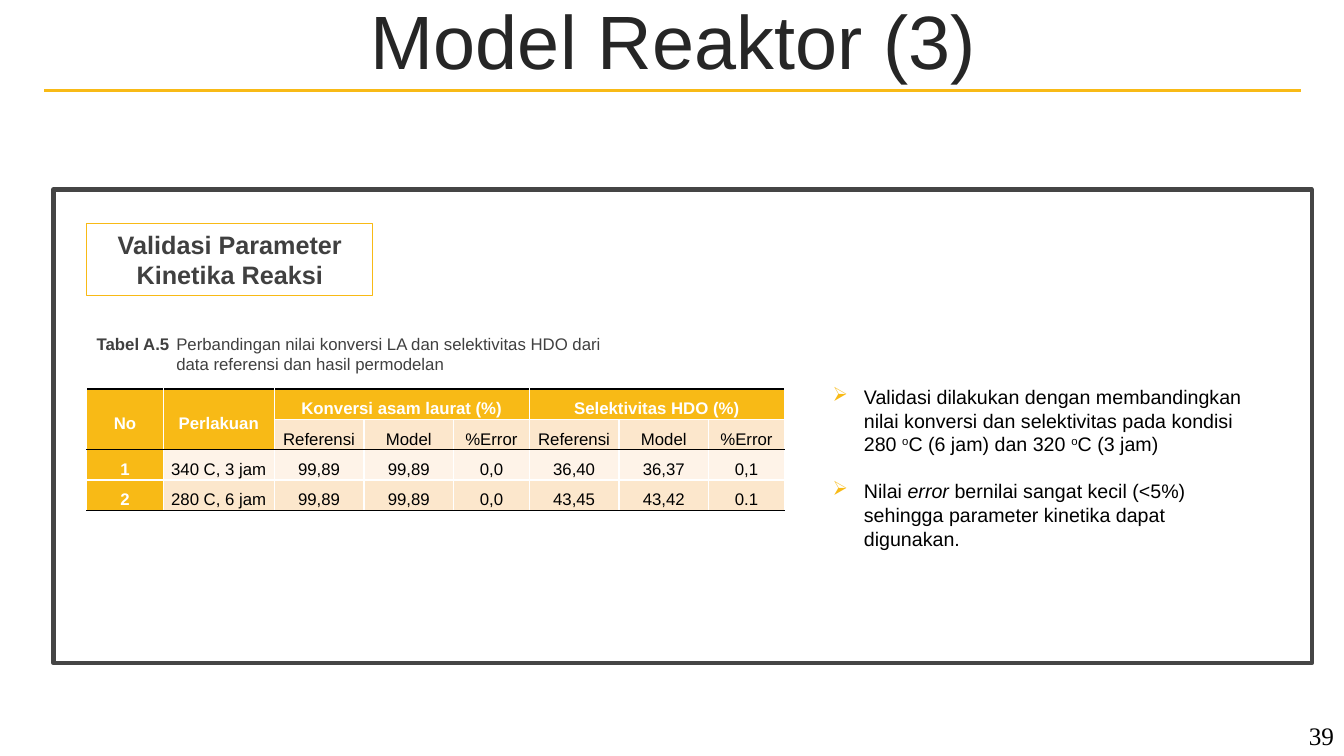
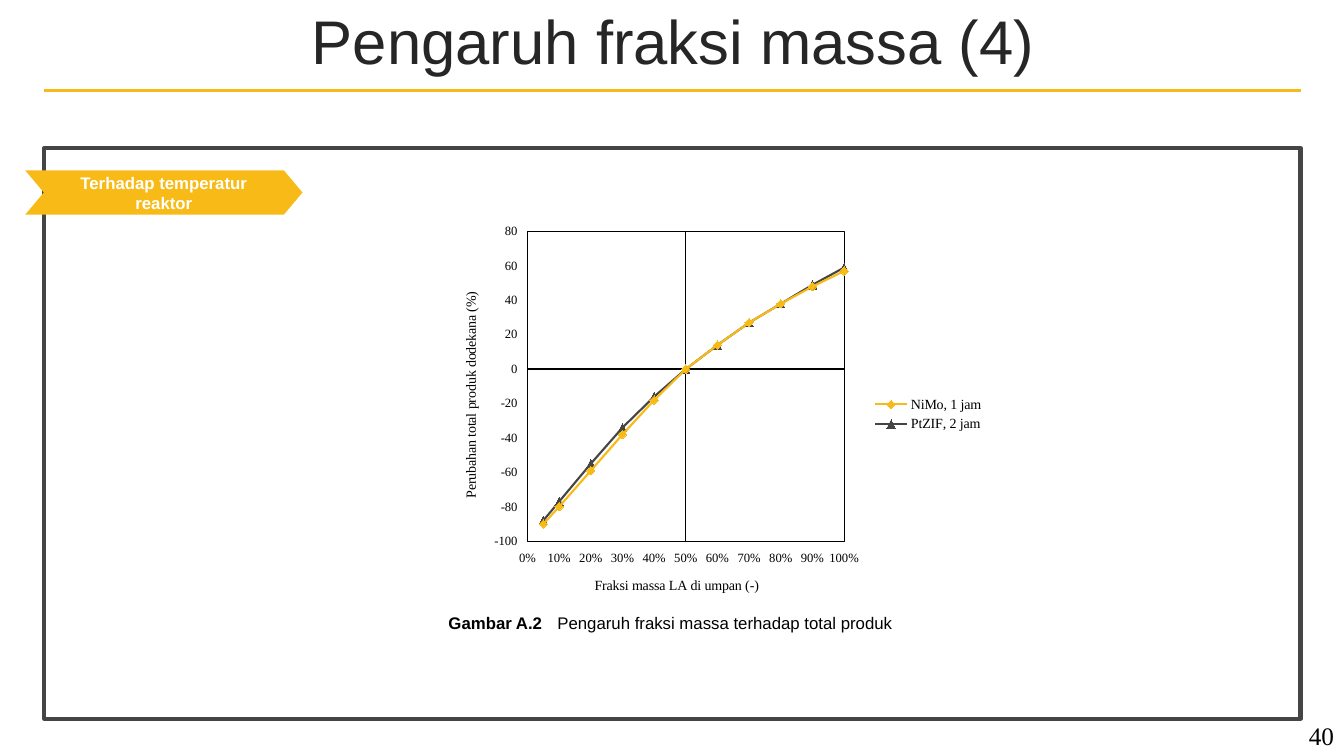
"""Builds two slides on reactor model validation and feed mass fraction."""
from dataclasses import dataclass

from lxml import etree
from pptx import Presentation
from pptx import util as u
from pptx.chart.data import XyChartData
from pptx.dml.color import RGBColor
from pptx.enum import chart as charts, shapes, text
from pptx.oxml import parse_xml
from pptx.oxml.ns import nsdecls, qn


@dataclass(frozen=True)
class Theme:
    """Colours, fonts and type sizes of the deck."""
    gold: str = "F8BA16"
    dark: str = "454545"
    title: str = "262626"
    label: str = "404040"
    black: str = "000000"
    white: str = "FFFFFF"
    band_light: str = "FEF3E8"
    band_dark: str = "FCE7CC"
    sans: str = "Arial"
    serif: str = "Times New Roman"
    heading: int = 18
    body: int = 14
    small: int = 12
    chart: int = 10
    ticks: int = 9


@dataclass(frozen=True)
class Box:
    """A rectangle in inches."""
    left: float
    top: float
    width: float
    height: float

    def lengths(self) -> list[u.Length]:
        """Gives the four values as lengths."""
        return [u.Inches(value) for value in (self.left, self.top, self.width, self.height)]


@dataclass(frozen=True)
class Span:
    """A stretch of text with one format."""
    content: str
    bold: bool = False
    italic: bool = False
    raised: bool = False


@dataclass(frozen=True)
class Series:
    """One curve of the chart."""
    name: str
    values: tuple[int, ...]
    color: str
    marker: charts.XL_MARKER_STYLE


THEME = Theme()
CENTER = text.PP_ALIGN.CENTER
HEADERS = (
    ("No", "Perlakuan", "Konversi asam laurat (%)", "", "", "Selektivitas HDO (%)", "", ""),
    ("", "") + ("Referensi", "Model", "%Error") * 2,
)
RESULTS = (
    ("1", "340 C, 3 jam", "99,89", "99,89", "0,0", "36,40", "36,37", "0,1"),
    ("2", "280 C, 6 jam", "99,89", "99,89", "0,0", "43,45", "43,42", "0.1"),
)
COLUMN_WIDTHS = (0.76, 1.1) + (0.89, 0.89, 0.75) * 2
MERGES = ((0, 0, 1, 0), (0, 1, 1, 1), (0, 2, 0, 4), (0, 5, 0, 7))
FINDINGS = (
    (Span("Validasi dilakukan dengan membandingkan nilai konversi dan selektivitas pada kondisi 280 "),
     Span("o", raised=True), Span("C (6 jam) dan 320 "), Span("o", raised=True), Span("C (3 jam)")),
    (Span("Nilai "), Span("error ", italic=True),
     Span("bernilai sangat kecil (<5%) sehingga parameter kinetika dapat digunakan.")),
)
FRACTIONS = (0.05, 0.1, 0.2, 0.3, 0.4, 0.5, 0.6, 0.7, 0.8, 0.9, 1)
CURVES = (
    Series("NiMo, 1 jam", (-90, -80, -59, -38, -18, 0, 14, 27, 38, 48, 57),
           THEME.gold, charts.XL_MARKER_STYLE.DIAMOND),
    Series("PtZIF, 2 jam", (-88, -77, -55, -34, -16, 0, 14, 27, 38, 49, 59),
           THEME.dark, charts.XL_MARKER_STYLE.TRIANGLE),
)


def rgb(color: str) -> RGBColor:
    """Turns a hex string into a colour."""
    return RGBColor.from_string(color)


def style_font(font, size: int, color: str, name: str = THEME.sans, bold: bool = False) -> None:
    """Formats one font."""
    font.size, font.name, font.bold = u.Pt(size), name, bold
    font.color.rgb = rgb(color)


def add_spans(paragraph, spans, size: int, color: str, name: str = THEME.sans) -> None:
    """Writes spans as runs."""
    for span in spans:
        run = paragraph.add_run()
        run.text = span.content
        style_font(run.font, size, color, name, span.bold)
        run.font.italic = span.italic
        if span.raised:
            run._r.get_or_add_rPr().set("baseline", "30000")


def set_hanging(paragraph, indent: float) -> None:
    """Gives a paragraph a hanging indent in inches."""
    properties = paragraph._p.get_or_add_pPr()
    properties.set("marL", str(u.Inches(indent)))
    properties.set("indent", str(-u.Inches(indent)))


def add_text_frame(slide, box: Box):
    """Adds a wrapping text box and returns its frame."""
    frame = slide.shapes.add_textbox(*box.lengths()).text_frame
    frame.word_wrap = True
    return frame


def add_caption(slide, box: Box, indent: float, number: str, wording: str, color: str) -> None:
    """Adds a numbered caption whose wording hangs at a tab."""
    frame = add_text_frame(slide, box)
    set_hanging(frame.paragraphs[0], indent)
    add_spans(frame.paragraphs[0], (Span(number + "\t", bold=True), Span(wording)), THEME.small, color)


def add_panel(slide, box: Box, kind=shapes.MSO_SHAPE.RECTANGLE,
              fill: str = "", line: str = "", width: float = 0.75):
    """Adds a flat shape with an optional fill and outline."""
    shape = slide.shapes.add_shape(kind, *box.lengths())
    shape.shadow.inherit = False
    if fill:
        shape.fill.solid()
        shape.fill.fore_color.rgb = rgb(fill)
    else:
        shape.fill.background()
    if line:
        shape.line.color.rgb = rgb(line)
        shape.line.width = u.Pt(width)
    else:
        shape.line.fill.background()
    return shape


def label_panel(shape, wording: str, size: int, color: str) -> None:
    """Centres bold text in a shape."""
    frame = shape.text_frame
    frame.word_wrap = True
    frame.vertical_anchor = text.MSO_ANCHOR.MIDDLE
    frame.paragraphs[0].alignment = CENTER
    add_spans(frame.paragraphs[0], (Span(wording, bold=True),), size, color)


def add_slide(presentation, title: str, title_size: int, number: int, frame_box: Box):
    """Adds a slide with title, rule, page number and frame."""
    slide = presentation.slides.add_slide(presentation.slide_layouts[5])
    heading = slide.shapes.title
    heading.left, heading.top, heading.width, heading.height = Box(0.35, 0.05, 12.66, 0.79).lengths()
    heading.text_frame.auto_size = text.MSO_AUTO_SIZE.NONE
    heading.text_frame.vertical_anchor = text.MSO_ANCHOR.MIDDLE
    paragraph = heading.text_frame.paragraphs[0]
    paragraph.alignment, paragraph.line_spacing = CENTER, 0.9
    add_spans(paragraph, (Span(title),), title_size, THEME.title)
    page = add_text_frame(slide, Box(12.62, 7.1, 0.71, 0.4)).paragraphs[0]
    page.alignment = text.PP_ALIGN.RIGHT
    add_spans(page, (Span(str(number)),), THEME.heading, THEME.black, THEME.serif)
    add_panel(slide, frame_box, line=THEME.dark, width=3)
    rule = slide.shapes.add_connector(
        shapes.MSO_CONNECTOR.STRAIGHT, *[u.Inches(value) for value in (0.44, 0.9, 12.9, 0.9)])
    rule.line.color.rgb = rgb(THEME.gold)
    rule.line.width = u.Pt(2.25)
    etree.SubElement(rule._element.spPr, qn("a:effectLst"))
    return slide


def set_borders(cell, row: int) -> None:
    """Draws black lines around header and body, white ones elsewhere."""
    last = row + (cell.span_height if cell.is_merge_origin else 1) - 1
    top = THEME.black if row in (0, 2) else THEME.white
    bottom = THEME.black if last in (1, 3) else THEME.white
    for side, color in (("L", THEME.white), ("R", THEME.white), ("T", top), ("B", bottom)):
        cell._tc.get_or_add_tcPr().append(parse_xml(
            f'<a:ln{side} {nsdecls("a")} w="{u.Pt(1)}"><a:solidFill>'
            f'<a:srgbClr val="{color}"/></a:solidFill></a:ln{side}>'))


def add_results_table(slide) -> None:
    """Adds the comparison of reference and model."""
    rows = HEADERS + RESULTS
    box = Box(0.86, 3.86, sum(COLUMN_WIDTHS), 0.3 * len(rows))
    table = slide.shapes.add_table(len(rows), len(COLUMN_WIDTHS), *box.lengths()).table
    table.first_row = table.horz_banding = False
    for column, width in zip(table.columns, COLUMN_WIDTHS):
        column.width = u.Inches(width)
    for top, left, bottom, right in MERGES:
        table.cell(top, left).merge(table.cell(bottom, right))
    for row, values in enumerate(rows):
        for column, value in enumerate(values):
            cell = table.cell(row, column)
            strong = row == 0 or column == 0 or (row == 1 and column == 1)
            fill = THEME.gold if strong else THEME.band_light if row == 2 else THEME.band_dark
            set_borders(cell, row)
            cell.fill.solid()
            cell.fill.fore_color.rgb = rgb(fill)
            cell.vertical_anchor = text.MSO_ANCHOR.MIDDLE
            cell.margin_left = cell.margin_right = u.Inches(0.07)
            cell.margin_top = cell.margin_bottom = 0
            if value:
                paragraph = cell.text_frame.paragraphs[0]
                paragraph.alignment, paragraph.line_spacing = CENTER, 1.5
                paragraph.space_after = u.Pt(8)
                add_spans(paragraph, (Span(value, bold=strong),), THEME.small,
                          THEME.white if strong else THEME.black)


def add_findings(slide) -> None:
    """Adds the bulleted findings."""
    frame = add_text_frame(slide, Box(8.16, 3.77, 4.31, 1.75))
    for index, spans in enumerate(FINDINGS):
        paragraph = frame.add_paragraph() if index else frame.paragraphs[0]
        set_hanging(paragraph, 0.31)
        if index:
            paragraph.space_before = u.Pt(17)
        properties = paragraph._p.get_or_add_pPr()
        color = etree.SubElement(properties, qn("a:buClr"))
        etree.SubElement(color, qn("a:srgbClr"), val=THEME.gold)
        etree.SubElement(properties, qn("a:buChar"), char="➢")
        add_spans(paragraph, spans, THEME.body, THEME.black)


def format_axis(axis, title: str, low: float, high: float, step: float, number_format: str,
                width: float) -> None:
    """Sets the scale, labels, line and title of an axis."""
    axis.minimum_scale, axis.maximum_scale, axis.major_unit = low, high, step
    axis.has_major_gridlines = False
    axis.major_tick_mark = axis.minor_tick_mark = charts.XL_TICK_MARK.NONE
    axis.tick_label_position = charts.XL_TICK_LABEL_POSITION.LOW
    axis.tick_labels.number_format = number_format
    axis.tick_labels.number_format_is_linked = False
    style_font(axis.tick_labels.font, THEME.ticks, THEME.black, THEME.serif)
    axis.format.line.color.rgb = rgb(THEME.black)
    axis.format.line.width = u.Pt(width)
    add_spans(axis.axis_title.text_frame.paragraphs[0], (Span(title),),
              THEME.chart, THEME.black, THEME.serif)


def frame_plot(chart, box: Box) -> None:
    """Places the plot by chart fractions and outlines it."""
    area = chart._chartSpace.chart.plotArea
    for layout in area.findall(qn("c:layout")):
        area.remove(layout)
    places = "".join(f'<c:{key} val="{value}"/>' for key, value in (
        ("x", box.left), ("y", box.top), ("w", box.width), ("h", box.height)))
    area.insert(0, parse_xml(
        f'<c:layout {nsdecls("c")}><c:manualLayout><c:layoutTarget val="inner"/>'
        f'<c:xMode val="edge"/><c:yMode val="edge"/>{places}</c:manualLayout></c:layout>'))
    area.append(parse_xml(
        f'<c:spPr {nsdecls("c", "a")}><a:noFill/><a:ln w="{u.Pt(0.75)}"><a:solidFill>'
        f'<a:srgbClr val="{THEME.black}"/></a:solidFill></a:ln></c:spPr>'))


def add_fraction_chart(slide) -> None:
    """Adds the scatter chart of product change against mass fraction."""
    data = XyChartData()
    for curve in CURVES:
        points = data.add_series(curve.name)
        for fraction, value in zip(FRACTIONS, curve.values):
            points.add_data_point(fraction, value)
    chart = slide.shapes.add_chart(
        charts.XL_CHART_TYPE.XY_SCATTER_LINES, *Box(4.35, 2.14, 5.51, 3.94).lengths(), data).chart
    style_font(chart.font, THEME.chart, THEME.black, THEME.serif)
    chart.has_title = False
    chart.has_legend = True
    chart.legend.position = charts.XL_LEGEND_POSITION.RIGHT
    chart.legend.include_in_layout = False
    chart.plots[0].vary_by_categories = False
    format_axis(chart.category_axis, "Fraksi massa LA di umpan (-)", 0, 1, 0.1, "0%", 1.5)
    format_axis(chart.value_axis, "Perubahan total produk dodekana (%)", -100, 80, 20, "#,##0", 0.75)
    chart.category_axis.crosses_at = 0.5
    frame_plot(chart, Box(0.16, 0.04, 0.57, 0.78))
    for series, curve in zip(chart.plots[0].series, CURVES):
        series.smooth = False
        series.format.line.color.rgb = rgb(curve.color)
        series.format.line.width = u.Pt(1.5)
        series.marker.style, series.marker.size = curve.marker, 6
        series.marker.format.fill.solid()
        series.marker.format.fill.fore_color.rgb = rgb(curve.color)
        series.marker.format.line.color.rgb = rgb(curve.color)


def main() -> None:
    """Builds and saves the deck."""
    presentation = Presentation()
    presentation.slide_width, presentation.slide_height = u.Inches(13.33), u.Inches(7.5)

    slide = add_slide(presentation, "Model Reaktor (3)", 54, 39, Box(0.53, 1.88, 12.48, 4.7))
    topic = add_panel(slide, Box(0.86, 2.22, 2.84, 0.71), line=THEME.gold)
    topic.text_frame.margin_left = topic.text_frame.margin_right = 0
    label_panel(topic, "Validasi Parameter Kinetika Reaksi", THEME.heading, THEME.label)
    add_results_table(slide)
    add_caption(slide, Box(0.86, 3.26, 5.49, 0.5), 0.79, "Tabel A.5", "Perbandingan nilai konversi LA "
                "dan selektivitas HDO dari data referensi dan hasil permodelan", THEME.label)
    add_findings(slide)

    slide = add_slide(presentation, "Pengaruh fraksi massa (4)", 44, 40, Box(0.44, 1.47, 12.46, 5.66))
    ribbon = add_panel(slide, Box(0.25, 1.69, 2.75, 0.44), shapes.MSO_SHAPE.CHEVRON, fill=THEME.gold)
    ribbon.adjustments[0] = 0.42
    label_panel(ribbon, "Terhadap temperatur reaktor", THEME.small, THEME.white)
    add_caption(slide, Box(4.35, 6.03, 5.77, 0.3), 1.08, "Gambar A.2",
                "Pengaruh fraksi massa terhadap total produk", THEME.black)
    add_fraction_chart(slide)
    presentation.save("out.pptx")


if __name__ == "__main__":
    main()
